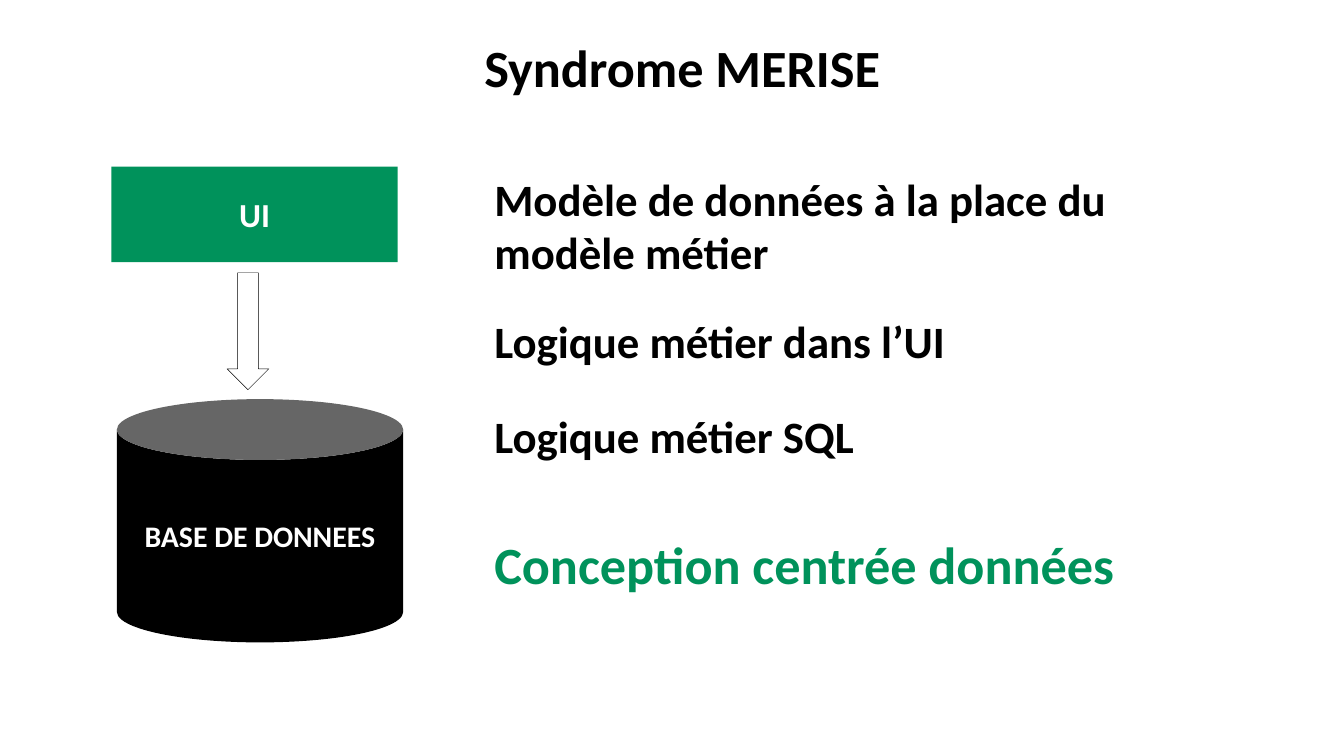
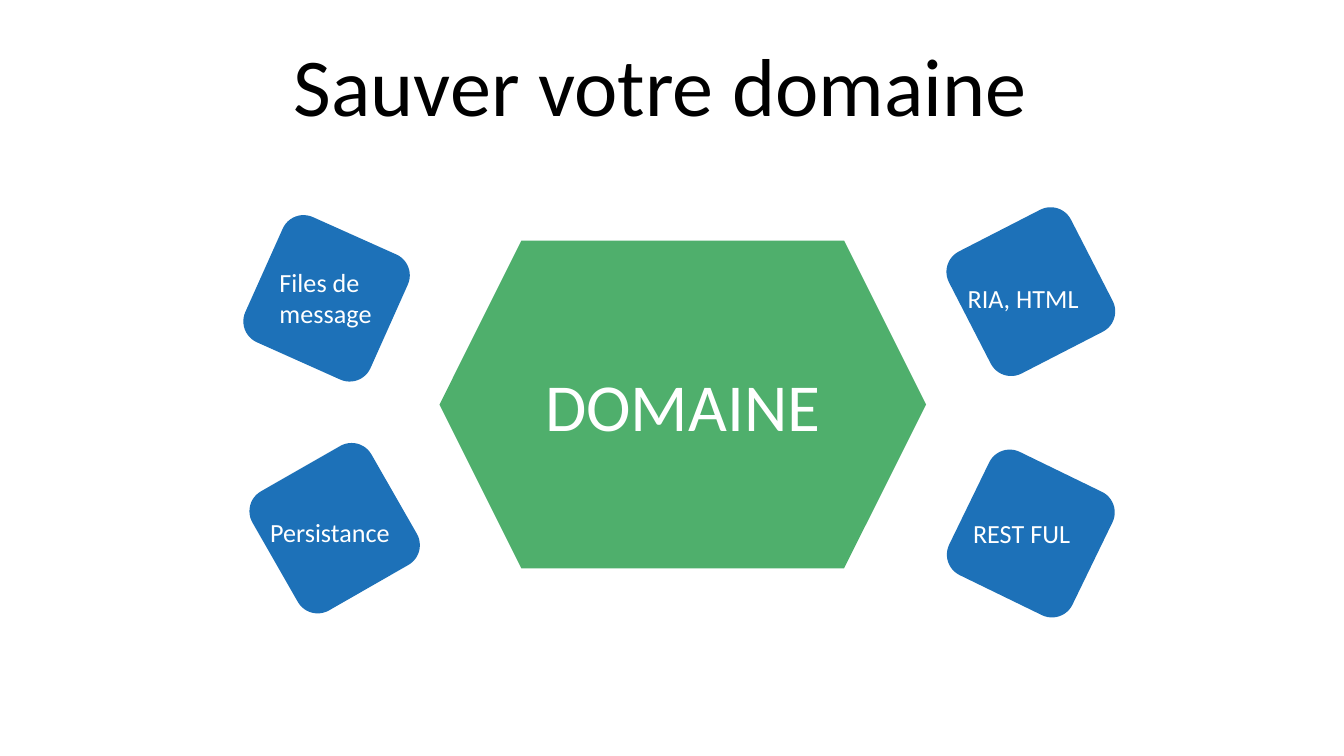
from pptx import Presentation
from pptx.dml.color import RGBColor
from pptx.enum.shapes import MSO_SHAPE
from pptx.enum.text import MSO_ANCHOR, PP_ALIGN
from pptx.util import Inches, Pt

RECT, CAN, ARROW = MSO_SHAPE.RECTANGLE, MSO_SHAPE.CAN, MSO_SHAPE.DOWN_ARROW
HEXAGON, ROUND = MSO_SHAPE.HEXAGON, MSO_SHAPE.ROUNDED_RECTANGLE
TOP, MIDDLE = MSO_ANCHOR.TOP, MSO_ANCHOR.MIDDLE
LEFT, CENTER = PP_ALIGN.LEFT, PP_ALIGN.CENTER

BLACK = RGBColor(0x00, 0x00, 0x00)
WHITE = RGBColor(0xFF, 0xFF, 0xFF)
GREEN = RGBColor(0x00, 0x92, 0x5B)
LEAF = RGBColor(0x4F, 0xAF, 0x6C)
BLUE = RGBColor(0x1D, 0x71, 0xB8)
FONT = "Calibri"
WIDE = Inches(10)
HIGH = WIDE * 9 // 16
PAD = (0.1, 0.1)
TILE = 1.02

POINTS = [
    ("Modèle de données à la place du modèle métier", 1.24, 24, BLACK),
    ("Logique métier dans l’UI", 2.1, 24, BLACK),
    ("Logique métier SQL", 2.81, 24, BLACK),
    ("Conception centrée données", 3.76, 28, GREEN),
]
LAYERS = [
    ("UI", RECT, (0.83, 1.24, 2.13, 0.71), GREEN, 18),
    ("BASE DE DONNEES", CAN, (0.87, 2.97, 2.13, 1.81), BLACK, 16),
]
TILES = [
    ("Files de\nmessage", (1.92, 1.71), 24.1, (2.08, 1.98)),
    ("Persistance", (1.98, 3.42), 330.2, (2.01, 3.84)),
    ("RIA, HTML", (7.16, 1.66), 62.8, (7.2, 2.1)),
    ("REST FUL", (7.16, 3.46), 295.9, (7.24, 3.85)),
]


def write(shape, text, size, color=BLACK, bold=False, align=CENTER,
          anchor=MIDDLE, pad=(0.1, 0.05)):
    frame = shape.text_frame
    frame.word_wrap = True
    frame.vertical_anchor = anchor
    frame.margin_left = frame.margin_right = Inches(pad[0])
    frame.margin_top = frame.margin_bottom = Inches(pad[1])
    frame.text = text
    for para in frame.paragraphs:
        para.alignment = align
        for run in para.runs:
            font = run.font
            font.name, font.size, font.bold = FONT, Pt(size), bold
            font.color.rgb = color


def label(shapes, text, box, size, **style):
    write(shapes.add_textbox(*map(Inches, box)), text, size, **style)


def draw(shapes, kind, box, fill, line=None, turn=0):
    shape = shapes.add_shape(kind, *map(Inches, box))
    shape.shadow.inherit = False
    shape.rotation = turn
    shape.fill.solid()
    shape.fill.fore_color.rgb = fill
    if line is None:
        shape.line.fill.background()
    else:
        shape.line.color.rgb = line
        shape.line.width = Pt(0.25)
    return shape


def build_merise(shapes):
    label(shapes, "Syndrome MERISE", (1.77, 0.06, 6.61, 0.87), 28, bold=True)
    for text, kind, box, fill, size in LAYERS:
        layer = draw(shapes, kind, box, fill)
        write(layer, text, size, color=WHITE, bold=True, pad=PAD)
    draw(shapes, ARROW, (1.69, 2.03, 0.31, 0.87), WHITE, line=BLACK)
    for text, top, size, color in POINTS:
        label(shapes, text, (3.58, top, 5.66, 0.87), size,
              color=color, bold=True, align=LEFT)


def build_domain(shapes):
    label(shapes, "Sauver votre domaine ", (0.35, 0.21, 9.27, 0.94), 44,
          anchor=TOP)
    core = draw(shapes, HEXAGON, (3.27, 1.79, 3.62, 2.44), LEAF)
    write(core, "DOMAINE", 36, color=WHITE, pad=PAD)
    for text, place, turn, spot in TILES:
        group = shapes.add_group_shape().shapes
        draw(group, ROUND, (*place, TILE, TILE), BLUE, turn=turn)
        label(group, text, (*spot, 1.16, 0.24), 14, color=WHITE,
              align=LEFT, anchor=TOP, pad=(0, 0))


def main():
    deck = Presentation()
    deck.slide_width, deck.slide_height = WIDE, HIGH
    for build in (build_merise, build_domain):
        build(deck.slides.add_slide(deck.slide_layouts[6]).shapes)
    deck.save("out.pptx")


if __name__ == "__main__":
    main()
